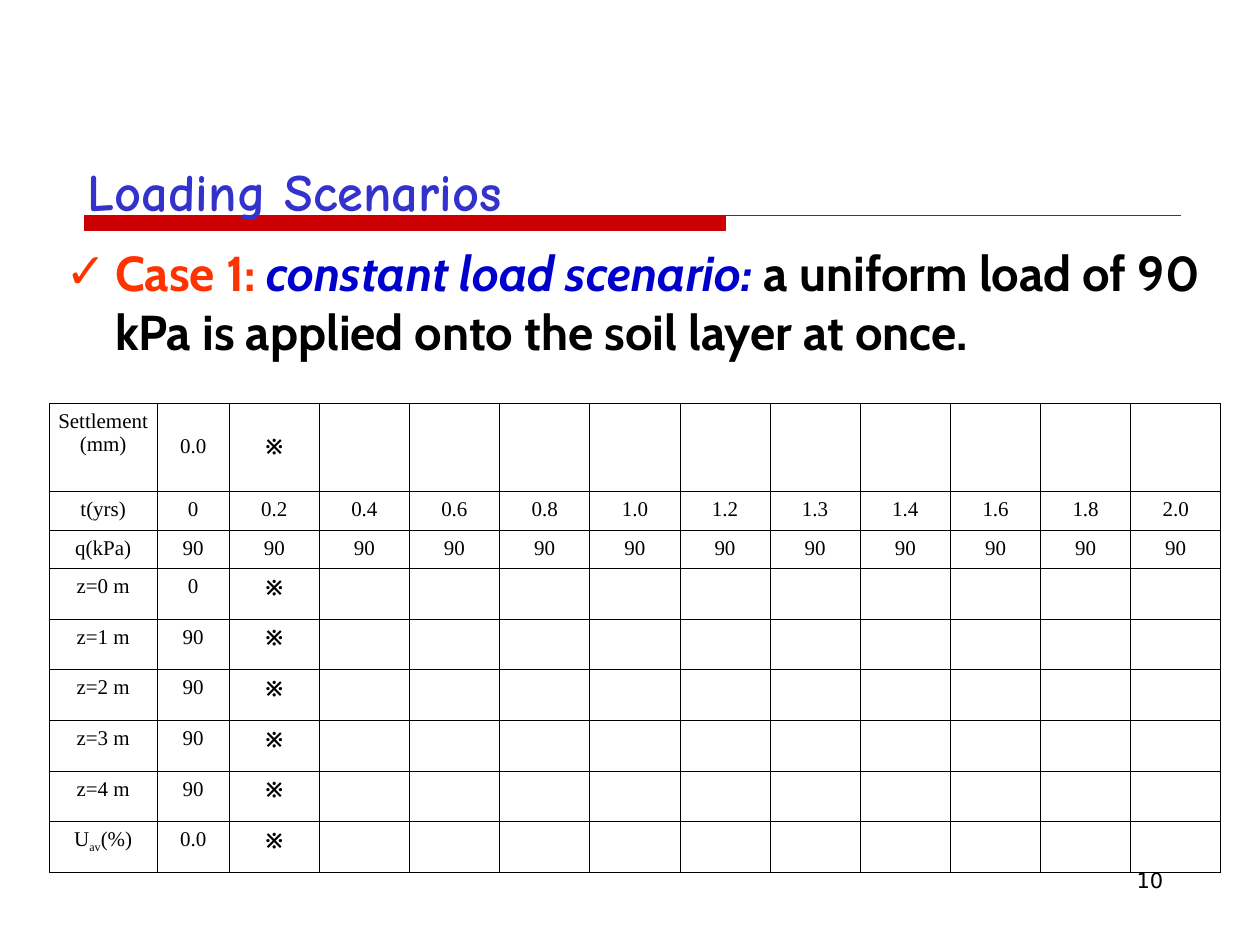
import pptx
import pptx.util
import pptx.dml.color
import pptx.enum.text
import pptx.oxml.ns
from lxml import etree

Cm = pptx.util.Cm
Pt = pptx.util.Pt
RGBColor = pptx.dml.color.RGBColor
ALIGN = pptx.enum.text.PP_ALIGN
ANCHOR = pptx.enum.text.MSO_ANCHOR
qn = pptx.oxml.ns.qn

RED = RGBColor(0xCC, 0x00, 0x00)
ORANGE = RGBColor(0xFF, 0x33, 0x00)
TITLE_BLUE = RGBColor(0x33, 0x33, 0xCC)
CASE_BLUE = RGBColor(0x00, 0x00, 0xCC)
BLACK = RGBColor(0x00, 0x00, 0x00)
WHITE = RGBColor(0xFF, 0xFF, 0xFF)


def add_run(paragraph, text, size, face, color, bold=False, italic=False):
    run = paragraph.add_run()
    run.text = text
    run.font.size = Pt(size)
    run.font.name = face
    run.font.color.rgb = color
    run.font.bold = bold
    run.font.italic = italic
    etree.SubElement(run.font._element, qn("a:ea"), typeface=face)
    return run


def add_text_frame(left, top, width, height, inset_x=0.25, inset_y=0.13):
    frame = slide.shapes.add_textbox(Cm(left), Cm(top), Cm(width), Cm(height)).text_frame
    frame.word_wrap = True
    frame.margin_left = frame.margin_right = Cm(inset_x)
    frame.margin_top = frame.margin_bottom = Cm(inset_y)
    return frame


deck = pptx.Presentation()
deck.slide_width, deck.slide_height = Cm(25.4), Cm(19.05)
slide = deck.slides.add_slide(deck.slide_layouts[6])

# Title rule: one outline with a thick bar and a thin line running on to the right
rule_left, rule_top = Cm(1.7), Cm(4.35)
bar_right, bar_bottom, line_right = Cm(14.63), Cm(4.65), Cm(23.8)
rule_outline = slide.shapes.build_freeform(rule_left, rule_top)
rule_outline.add_line_segments(
    [(bar_right, rule_top), (bar_right, bar_bottom), (rule_left, bar_bottom)], close=True)
rule_outline.move_to(rule_left, rule_top)
rule_outline.add_line_segments([(line_right, rule_top)], close=False)
title_rule = rule_outline.convert_to_shape()
title_rule.shadow.inherit = False
title_rule.fill.solid()
title_rule.fill.fore_color.rgb = RED
title_rule.line.color.rgb = RED
title_rule.line.width = Pt(0.75)

# Page number
page_number = add_text_frame(18.2, 17.35, 5.5, 1.32).paragraphs[0]
page_number.alignment = ALIGN.RIGHT
add_run(page_number, "10", 12, "DejaVu Sans", BLACK)

# Title
title_frame = add_text_frame(1.59, 2.85, 18.65, 1.7, 0.18, 0.08)
title_frame.vertical_anchor = ANCHOR.BOTTOM
title = title_frame.paragraphs[0]
title.line_spacing = 1.23
title.space_before = Pt(9.4)
add_run(title, "Loading Scenarios", 30, "Comic Neue", TITLE_BLUE, bold=True)

# Load case with a check mark bullet
load_case = add_text_frame(0.83, 4.76, 24.2, 3.8).paragraphs[0]
case_props = load_case._p.get_or_add_pPr()
case_props.set("marL", str(Cm(1.24)))
case_props.set("indent", str(-Cm(1)))
bullet_color = etree.SubElement(case_props, qn("a:buClr"))
etree.SubElement(bullet_color, qn("a:srgbClr"), val=str(ORANGE))
etree.SubElement(case_props, qn("a:buFont"), typeface="DejaVu Sans")
etree.SubElement(case_props, qn("a:buChar"), char="✓")
for words, color, italic in [
    ("Case 1: ", ORANGE, False),
    ("constant load scenario: ", CASE_BLUE, True),
    ("a uniform load of 90 kPa is applied onto the soil layer at once.", BLACK, False),
]:
    add_run(load_case, words, 28, "Cabin", color, bold=True, italic=italic)

# Load table: values still to be computed are marked or left empty
TO_FIND = "※"
times = ["0", "0.2", "0.4", "0.6", "0.8", "1.0", "1.2", "1.3", "1.4", "1.6", "1.8", "2.0"]
initial_stress = ["0", "90", "90", "90", "90"]
load_rows = [
    ["Settlement\n(mm)", "0.0", TO_FIND],
    ["t(yrs)"] + times,
    ["q(kPa)"] + ["90"] * len(times),
]
load_rows += [[f"z={depth} m", stress, TO_FIND] for depth, stress in enumerate(initial_stress)]
load_rows.append(["Uav(%)", "0.0", TO_FIND])
column_widths = [2.18, 1.45] + [1.82, 1.81, 1.82, 1.82] * 2 + [1.82, 1.81, 1.82]
row_heights = [1.78, 0.78, 0.77] + [1.02] * 6

load_table = slide.shapes.add_table(
    len(row_heights), len(column_widths), Cm(0.99), Cm(8.13),
    Cm(sum(column_widths)), Cm(sum(row_heights))).table
load_table.first_row = False
load_table.horz_banding = False
for column, width in zip(load_table.columns, column_widths):
    column.width = Cm(width)

for r, height in enumerate(row_heights):
    load_table.rows[r].height = Cm(height)
    for c in range(len(column_widths)):
        cell = load_table.cell(r, c)
        cell.margin_left = cell.margin_right = Cm(0.13)
        cell.margin_top = cell.margin_bottom = 0
        cell.fill.solid()
        cell.fill.fore_color.rgb = WHITE
        for position, side in enumerate(["a:lnL", "a:lnR", "a:lnT", "a:lnB"]):
            border = etree.Element(qn(side), w=str(Pt(0.45)))
            border_fill = etree.SubElement(border, qn("a:solidFill"))
            etree.SubElement(border_fill, qn("a:srgbClr"), val=str(BLACK))
            cell._tc.tcPr.insert(position, border)
        if c >= len(load_rows[r]):
            continue

        # The settlement values sit one line lower than their heading
        cell.margin_top = Cm(0.63 if r == 0 and c > 0 else 0.13)
        entry = load_rows[r][c]
        marked = entry == TO_FIND
        face = "Cabin" if marked else "Times New Roman"
        for n, line in enumerate(entry.split("\n")):
            paragraph = cell.text_frame.paragraphs[0] if n == 0 else cell.text_frame.add_paragraph()
            paragraph.alignment = ALIGN.CENTER
            for part in ["U", "av", "(%)"] if line == "Uav(%)" else [line]:
                run = add_run(paragraph, part, 12, face, BLACK, bold=marked)
                if part == "av":
                    run.font._element.set("baseline", "-25000")

deck.save("out.pptx")
